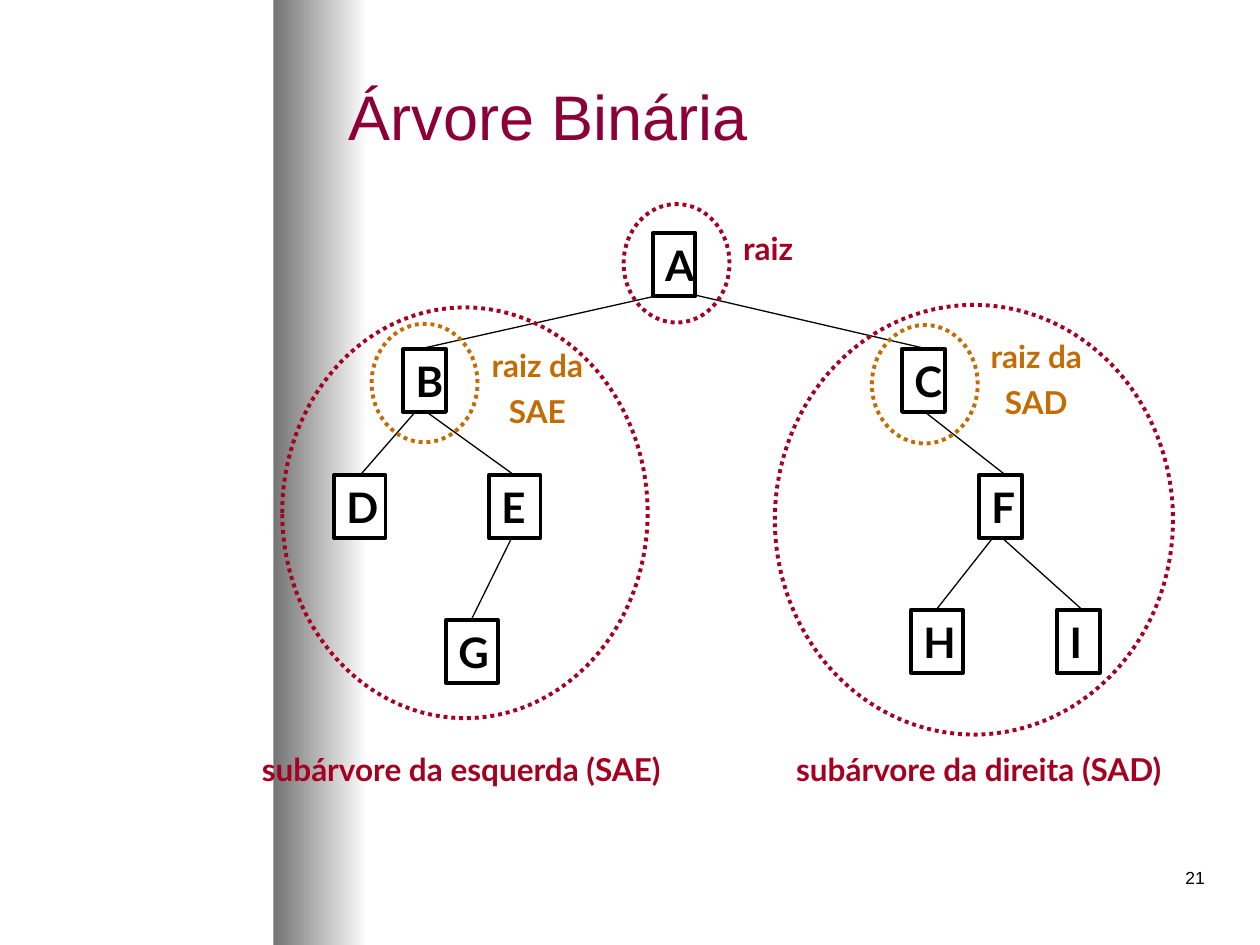
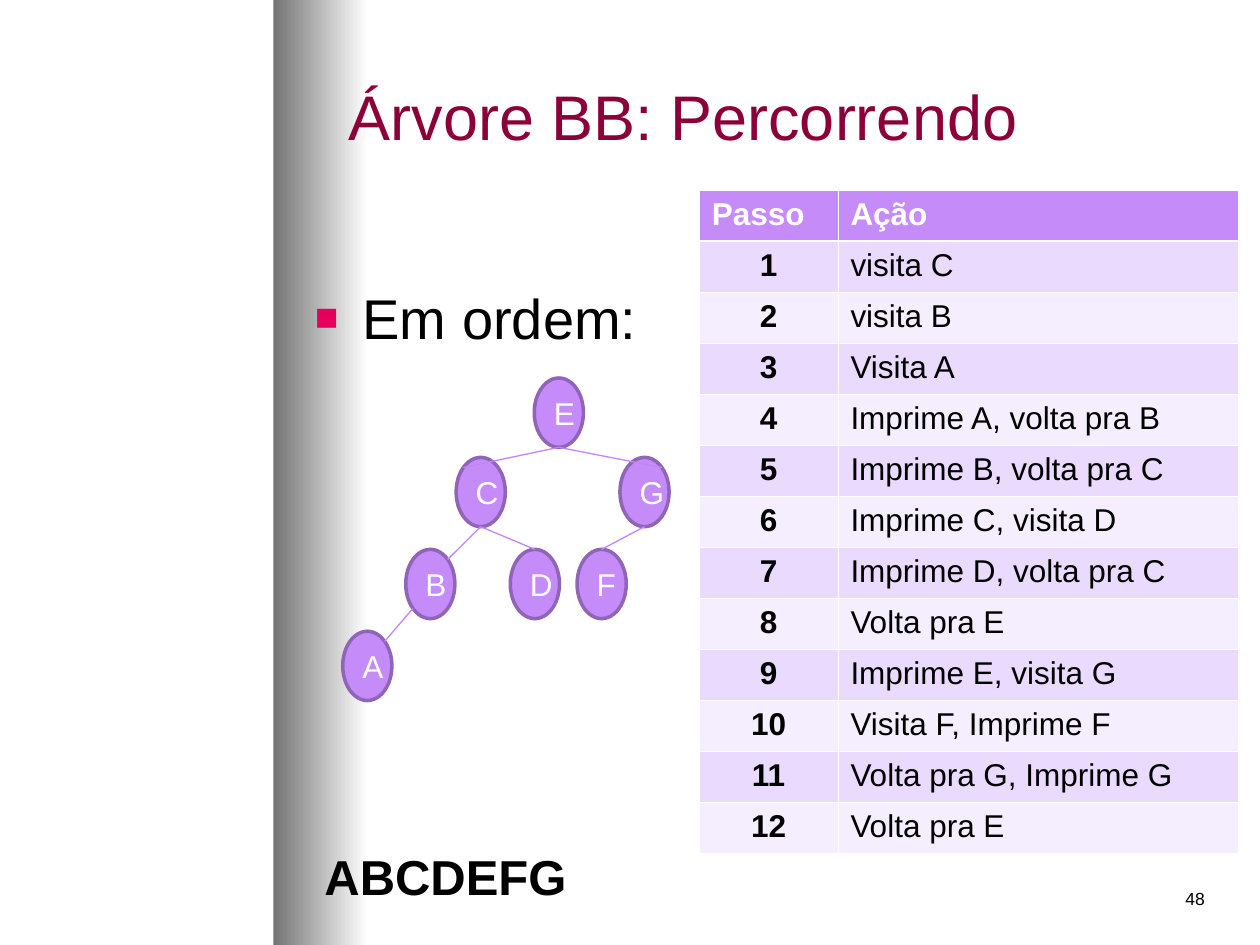
from math import cos, radians, sin

from lxml import etree
from pptx import Presentation
from pptx.dml.color import RGBColor
from pptx.enum.dml import MSO_LINE
from pptx.enum.shapes import MSO_CONNECTOR, MSO_SHAPE
from pptx.enum.text import MSO_ANCHOR, PP_ALIGN
from pptx.oxml.ns import qn
from pptx.util import Inches, Pt

RECTANGLE, OVAL = MSO_SHAPE.RECTANGLE, MSO_SHAPE.OVAL
STRAIGHT = MSO_CONNECTOR.STRAIGHT
DOTTED = MSO_LINE.ROUND_DOT
LEFT, CENTER, RIGHT = PP_ALIGN.LEFT, PP_ALIGN.CENTER, PP_ALIGN.RIGHT
TOP, MIDDLE = MSO_ANCHOR.TOP, MSO_ANCHOR.MIDDLE

COLORS = {
    "black": "000000", "white": "FFFFFF", "band": "747474",
    "title": "8C0039", "bullet": "E4005C",
    "subtree": "A50021", "subroot": "C36C03",
    "node": "C58BF9", "node_line": "9065B7", "edge": "C185F6",
    "odd_row": "EADAFD", "even_row": "F5EEFE",
}

BOX_HEIGHT = 0.5
BOX_NODES = {
    "A": (5.18, 1.85, 0.34), "B": (3.2, 2.77, 0.34), "C": (7.16, 2.77, 0.34),
    "D": (2.65, 3.77, 0.41), "E": (3.88, 3.77, 0.41), "F": (7.77, 3.77, 0.34),
    "G": (3.54, 4.92, 0.41), "H": (7.23, 4.84, 0.41), "I": (8.39, 4.84, 0.34),
}
BOX_EDGES = [
    ("A", 5.38, "B", 3.33), ("A", 5.38, "C", 7.36),
    ("B", 3.33, "D", 2.86), ("B", 3.33, "E", 4.08),
    ("C", 7.29, "F", 7.98), ("E", 4.08, "G", 3.74),
    ("F", 7.91, "H", 7.43), ("F", 7.91, "I", 8.59),
]
SUBTREE_RINGS = [(2.24, 2.44, 2.9, 3.26), (6.15, 2.42, 3.16, 3.41)]
ROOT_RINGS = [
    (4.95, 1.62, "subtree"), (2.95, 2.57, "subroot"), (6.92, 2.58, "subroot"),
]
RING_LABELS = [
    (["subárvore da esquerda (SAE)"], (1.98, 5.9, 3.76, 0.4), "subtree", LEFT),
    (["subárvore da direita (SAD)"], (6.22, 5.9, 3.47, 0.4), "subtree", LEFT),
    (["raiz"], (5.8, 1.77, 0.66, 0.4), "subtree", LEFT),
    (["raiz da", "SAE"], (3.75, 2.78, 1.03, 0.68), "subroot", CENTER),
    (["raiz da", "SAD"], (7.71, 2.71, 1.03, 0.68), "subroot", CENTER),
]

OVAL_WIDTH, OVAL_HEIGHT = 0.39, 0.55
OVAL_NODES = {
    "E": (4.24, 3), "C": (3.62, 3.63), "G": (4.92, 3.63), "B": (3.22, 4.36),
    "D": (4.05, 4.36), "F": (4.58, 4.36), "A": (2.72, 5.01),
}
SITE_ANGLES = {
    "top": -90, "top_right": -45, "bottom": 90,
    "bottom_left": 135, "top_left": -135,
}
OVAL_EDGES = [
    ("E", "bottom", "C", "top_left"), ("E", "bottom", "G", "top_right"),
    ("C", "bottom", "B", "top_right"), ("C", "bottom", "D", "top"),
    ("G", "bottom", "F", "top"), ("B", "bottom_left", "A", "top_right"),
]
TABLE_AT = (5.55, 1.51, 4.28, 5.27)
TABLE_COLUMNS = (1.1, 3.18)
TABLE_HEADER = ("Passo", "Ação")
ACTIONS = [
    "visita C", "visita B", "Visita A", "Imprime A, volta pra B",
    "Imprime B, volta pra C", "Imprime C, visita D", "Imprime D, volta pra C",
    "Volta pra E", "Imprime E, visita G", "Visita F, Imprime F",
    "Volta pra G, Imprime G", "Volta pra E",
]


def color(name):
    return RGBColor.from_string(COLORS[name])


def inches(place):
    return [Inches(length) for length in place]


def write(frame, lines, size, ink, font="Arial", bold=False, align=LEFT,
          anchor=TOP, spacing=None, gap=0):
    frame.word_wrap = True
    frame.vertical_anchor = anchor
    for index, line in enumerate(lines):
        para = frame.add_paragraph() if index else frame.paragraphs[0]
        para.alignment = align
        para.line_spacing = spacing
        if index:
            para.space_before = Pt(gap)
        span = para.add_run()
        span.text = line
        span.font.name = font
        span.font.size = Pt(size)
        span.font.bold = bold
        span.font.color.rgb = color(ink)


def add_text(page, place, lines, size, ink, **style):
    box = page.shapes.add_textbox(*inches(place))
    write(box.text_frame, lines, size, ink, **style)
    return box


def add_figure(page, kind, place, fill=None, line=None, width=2.25, dash=None):
    figure = page.shapes.add_shape(kind, *inches(place))
    figure.shadow.inherit = False
    if fill:
        figure.fill.solid()
        figure.fill.fore_color.rgb = color(fill)
    else:
        figure.fill.background()
    if line:
        figure.line.color.rgb = color(line)
        figure.line.width = Pt(width)
        figure.line.dash_style = dash
    else:
        figure.line.fill.background()
    return figure


def add_edge(page, start, end, ink):
    edge = page.shapes.add_connector(STRAIGHT, *inches((*start, *end)))
    edge.line.color.rgb = color(ink)
    edge.line.width = Pt(0.75)
    etree.SubElement(edge._element.spPr, qn("a:effectLst"))


def add_page(deck, title, number, number_top):
    page = deck.slides.add_slide(deck.slide_layouts[6])
    band = add_figure(page, RECTANGLE, (2.17, 0, 0.75, 7.5))
    band.fill.gradient()
    band.fill.gradient_angle = 0
    for stop, name in zip(band.fill.gradient_stops, ("band", "white")):
        stop.color.rgb = color(name)
    add_text(page, (2.67, 0.25, 7, 1.33), [title], 36, "title", anchor=MIDDLE)
    add_text(page, (7.58, number_top, 2.08, 0.33), [number], 10, "black",
             align=RIGHT)
    return page


def add_bullet(para):
    props = para._p.get_or_add_pPr()
    props.set("marL", str(Inches(0.38)))
    props.set("indent", str(-Inches(0.38)))
    tint = etree.SubElement(props, qn("a:buClr"))
    etree.SubElement(tint, qn("a:srgbClr"), val=COLORS["bullet"])
    etree.SubElement(props, qn("a:buSzPct"), val="70000")
    etree.SubElement(props, qn("a:buFont"), typeface="Arial")
    etree.SubElement(props, qn("a:buChar"), char="■")


def add_borders(cell, row):
    props = cell._tc.get_or_add_tcPr()
    thick = {0: "lnB", 1: "lnT"}.get(row)
    for index, side in enumerate(("lnL", "lnR", "lnT", "lnB")):
        width = 1.47 if side == thick else 0.45
        border = etree.Element(qn(f"a:{side}"), w=str(Pt(width)))
        fill = etree.SubElement(border, qn("a:solidFill"))
        etree.SubElement(fill, qn("a:srgbClr"), val=COLORS["white"])
        props.insert(index, border)


def add_steps(page):
    rows = [TABLE_HEADER]
    rows += [(str(step), action) for step, action in enumerate(ACTIONS, 1)]
    table = page.shapes.add_table(
        len(rows), len(TABLE_COLUMNS), *inches(TABLE_AT)).table
    for column, width in zip(table.columns, TABLE_COLUMNS):
        column.width = Inches(width)
    for row, texts in enumerate(rows):
        header = row == 0
        shade = "node" if header else "odd_row" if row % 2 else "even_row"
        for column, text in enumerate(texts):
            cell = table.cell(row, column)
            cell.fill.solid()
            cell.fill.fore_color.rgb = color(shade)
            add_borders(cell, row)
            write(cell.text_frame, [text], 18, "white" if header else "black",
                  bold=header or column == 0,
                  align=LEFT if header or column else CENTER)


def oval_site(name, site):
    left, top = OVAL_NODES[name]
    angle = radians(SITE_ANGLES[site])
    return (left + OVAL_WIDTH / 2 * (1 + cos(angle)),
            top + OVAL_HEIGHT / 2 * (1 + sin(angle)))


def build_binary_tree(deck):
    page = add_page(deck, "Árvore Binária", "21", 6.83)
    for parent, start, child, end in BOX_EDGES:
        bottom = BOX_NODES[parent][1] + BOX_HEIGHT - 0.04
        add_edge(page, (start, bottom), (end, BOX_NODES[child][1]), "black")
    for place in SUBTREE_RINGS:
        add_figure(page, OVAL, place, line="subtree", dash=DOTTED)
    for left, top, ink in ROOT_RINGS:
        add_figure(page, OVAL, (left, top, 0.84, 0.94), line=ink, dash=DOTTED)
    for name, place in BOX_NODES.items():
        node = add_figure(page, RECTANGLE, (*place, BOX_HEIGHT), "white", "black")
        write(node.text_frame, [name], 24, "black", font="Lato", bold=True)
    for lines, place, ink, align in RING_LABELS:
        add_text(page, place, lines, 18, ink, font="Lato", bold=True,
                 align=align, spacing=0.7 if len(lines) > 1 else None, gap=11.2)


def build_traversal(deck):
    page = add_page(deck, "Árvore BB: Percorrendo", "48", 7)
    order = add_text(page, (2.4, 2.2, 3.1, 0.7), ["Em ordem:"], 32, "black")
    add_bullet(order.text_frame.paragraphs[0])
    add_steps(page)
    add_text(page, (1.93, 6.67, 3.21, 0.57), ["ABCDEFG"], 28, "black",
             bold=True, align=CENTER)
    for name, corner in OVAL_NODES.items():
        node = add_figure(page, OVAL, (*corner, OVAL_WIDTH, OVAL_HEIGHT),
                          "node", "node_line", 2)
        write(node.text_frame, [name], 18, "white", align=CENTER, anchor=MIDDLE)
    for parent, start, child, end in OVAL_EDGES:
        add_edge(page, oval_site(parent, start), oval_site(child, end), "edge")


def main():
    deck = Presentation()
    deck.slide_width, deck.slide_height = Inches(10), Inches(7.5)
    build_binary_tree(deck)
    build_traversal(deck)
    deck.save("out.pptx")


if __name__ == "__main__":
    main()
